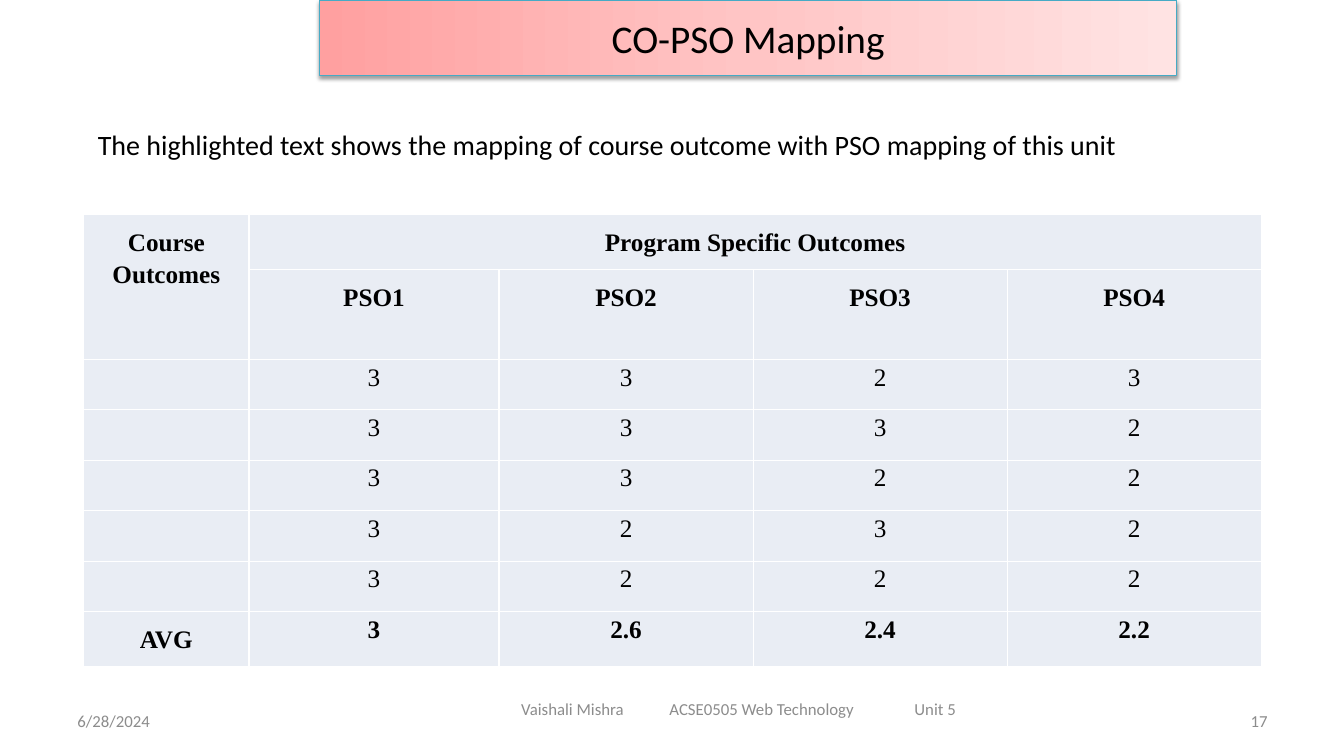
from copy import deepcopy

from lxml.etree import SubElement
from pptx import Presentation
from pptx.dml.color import RGBColor
from pptx.enum.text import MSO_ANCHOR, MSO_AUTO_SIZE, PP_ALIGN
from pptx.oxml.ns import qn
from pptx.util import Inches, Pt

BLACK = RGBColor(0x00, 0x00, 0x00)
WHITE = RGBColor(0xFF, 0xFF, 0xFF)
GREY = RGBColor(0x8C, 0x8C, 0x8C)
TEAL = RGBColor(0x46, 0xAA, 0xC5)
CELL_FILL = RGBColor(0xE9, 0xED, 0xF4)
BANNER_STOPS = [
    RGBColor(0xFF, 0xA0, 0xA0),
    RGBColor(0xFF, 0xC5, 0xC5),
    RGBColor(0xFF, 0xE3, 0xE3),
]


def write(frame, text, align, size, color, name="Calibri", bold=False):
    para = frame.paragraphs[0]
    para.alignment = align
    span = para.add_run()
    span.text = text
    span.font.color.rgb = color
    for key, value in {"size": Pt(size), "name": name, "bold": bold}.items():
        setattr(span.font, key, value)
    return para


def add_label(text, place, align, size, color, anchor, indent=0.1):
    box = page.shapes.add_textbox(*map(Inches, place))
    frame = box.text_frame
    layout = {"word_wrap": True, "vertical_anchor": anchor, "margin_left": Inches(indent)}
    for key, value in layout.items():
        setattr(frame, key, value)
    return write(frame, text, align, size, color)


deck = Presentation()
deck.slide_width, deck.slide_height = Inches(13.33), Inches(7.5)
page = deck.slides.add_slide(deck.slide_layouts[5])

# Title banner
banner = page.shapes.title
banner.left, banner.top, banner.width, banner.height = map(Inches, (3.17, 0, 8.5, 0.75))
banner.text_frame.auto_size = MSO_AUTO_SIZE.NONE
banner.text_frame.vertical_anchor = MSO_ANCHOR.MIDDLE
write(banner.text_frame, "CO-PSO Mapping", PP_ALIGN.CENTER, 28, BLACK)

banner.fill.gradient()
banner.fill.gradient_angle = 0
banner_properties = banner.element.spPr
stop_list = banner_properties.find(".//" + qn("a:gsLst"))
stop_list.append(deepcopy(stop_list[0]))
for index, color in enumerate(BANNER_STOPS):
    stop = banner.fill.gradient_stops[index]
    stop.position = index / 2
    stop.color.rgb = color
banner.line.color.rgb = TEAL
banner.line.width = Pt(0.75)

effects = SubElement(banner_properties, qn("a:effectLst"))
shadow = SubElement(effects, qn("a:outerShdw"), blurRad=str(Pt(3.1)), dist=str(Pt(1.6)),
                    dir="5400000", rotWithShape="0")
shade = SubElement(shadow, qn("a:srgbClr"), val=str(BLACK))
SubElement(shade, qn("a:alpha"), val="38000")

# Introductory sentence
add_label("The highlighted text shows the mapping of course outcome with PSO mapping of this unit",
          (0.5, 1.22, 11.67, 0.44), PP_ALIGN.JUSTIFY, 20, BLACK, MSO_ANCHOR.TOP, 0.47)

# Outcome table
rows = [
    ["Course Outcomes", "Program Specific Outcomes", "", "", ""],
    ["", "PSO1", "PSO2", "PSO3", "PSO4"],
    ["", "3", "3", "2", "3"],
    ["", "3", "3", "3", "2"],
    ["", "3", "3", "2", "2"],
    ["", "3", "2", "3", "2"],
    ["", "3", "2", "2", "2"],
    ["AVG", "3", "2.6", "2.4", "2.2"],
]
column_widths = [1.64, 2.48] + [2.52] * 3
row_heights = [0.52, 0.83] + [0.48] * 5 + [0.51]
table = page.shapes.add_table(len(rows), len(column_widths), Inches(0.83), Inches(2.13),
                              Inches(sum(column_widths)), Inches(sum(row_heights))).table
table.first_row = table.horz_banding = False
for column, width in zip(table.columns, column_widths):
    column.width = Inches(width)
for row, height in zip(table.rows, row_heights):
    row.height = Inches(height)
table.cell(0, 0).merge(table.cell(1, 0))
table.cell(0, 1).merge(table.cell(0, 4))

for row_index, row in enumerate(rows):
    for column_index, text in enumerate(row):
        cell = table.cell(row_index, column_index)
        padding = 0.1 if row_index < 2 or column_index == 0 else 0
        margins = {"margin_left": 0.07, "margin_right": 0.07,
                   "margin_top": padding, "margin_bottom": padding}
        for key, value in margins.items():
            setattr(cell, key, Inches(value))
        cell_properties = cell._tc.get_or_add_tcPr()
        for side in ("a:lnL", "a:lnR", "a:lnT", "a:lnB"):
            border = SubElement(cell_properties, qn(side), w=str(Pt(1)))
            SubElement(SubElement(border, qn("a:solidFill")), qn("a:srgbClr"), val=str(WHITE))
        cell.fill.solid()
        cell.fill.fore_color.rgb = CELL_FILL
        if text:
            para = write(cell.text_frame, text, PP_ALIGN.CENTER, 18, BLACK,
                         "Times New Roman", row_index in (0, 1, 7))
            para.line_spacing = 1.15

# Footer
add_label("6/28/2024", (0.67, 6.95, 3.11, 0.4), PP_ALIGN.LEFT, 12, GREY, MSO_ANCHOR.MIDDLE)
course = add_label("Vaishali Mishra\tACSE0505 Web Technology\tUnit 5", (4.75, 6.83, 5.17, 0.4),
                   PP_ALIGN.LEFT, 12, GREY, MSO_ANCHOR.MIDDLE, 0.42)
tab_list = SubElement(course._p.get_or_add_pPr(), qn("a:tabLst"))
for position in (1.47, 3.9):
    SubElement(tab_list, qn("a:tab"), pos=str(Inches(position)), algn="l")
add_label("17", (9.56, 6.95, 3.11, 0.4), PP_ALIGN.RIGHT, 12, GREY, MSO_ANCHOR.MIDDLE)

deck.save("out.pptx")
